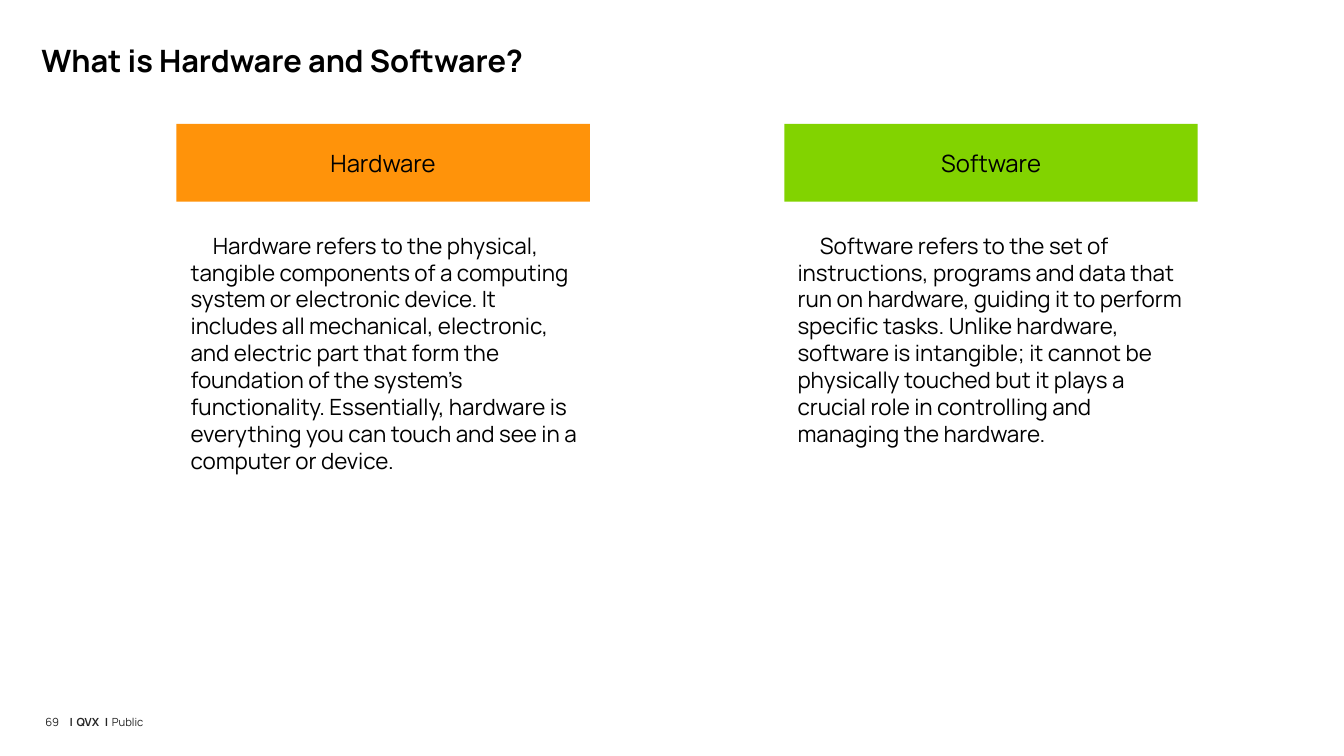
"""Build the slide that defines hardware and software."""
from lxml import etree
from pptx import Presentation
from pptx import util as u
from pptx.dml.color import RGBColor
from pptx.enum import shapes, text
from pptx.oxml.ns import qn

PX = 9144
FONT = "Manrope"
INK = {"main": "000000", "foot": "262626", "hard": "FF930A", "soft": "82D300"}
HARD = (
    "Hardware refers to the physical, tangible components of a computing system "
    "or electronic device. It includes all mechanical, electronic, and electric "
    "part that form the foundation of the system's functionality. Essentially, "
    "hardware is everything you can touch and see in a computer or device."
)
SOFT = (
    "Software refers to the set of instructions, programs and data that run on "
    "hardware, guiding it to perform specific tasks. Unlike hardware, software is "
    "intangible; it cannot be physically touched but it plays a crucial role in "
    "controlling and managing the hardware."
)


def px(*sizes):
    """Turn px lengths into EMU."""
    return [u.Emu(size * PX) for size in sizes]


def apply(item, **form):
    """Set each format value on an item."""
    for name, value in form.items():
        setattr(item, name, value)


def write(shape, runs, size, ink="main", pad=0, frame=None, para=None):
    """Fill a shape with one paragraph of (words, bold) runs."""
    body = shape.text_frame
    sides = ("left", "top", "right", "bottom")
    apply(body, word_wrap=True, **{f"margin_{side}": u.Emu(pad * PX) for side in sides})
    apply(body, **(frame or {}))
    line = body.paragraphs[0]
    apply(line, **(para or {}))
    for words, bold in runs:
        run = line.add_run()
        run.text = words
        apply(run.font, name=FONT, size=u.Pt(size), bold=bold)
        run.font.color.rgb = RGBColor.from_string(INK[ink])
    return line


def label(slide, box, runs, size, **form):
    """Add a text box and return its paragraph."""
    return write(slide.shapes.add_textbox(*px(*box)), runs, size, **form)


def banner(slide, box, words, ink):
    """Add a filled heading bar."""
    bar = slide.shapes.add_shape(shapes.MSO_SHAPE.RECTANGLE, *px(*box))
    bar.shadow.inherit = False
    bar.fill.solid()
    bar.fill.fore_color.rgb = RGBColor.from_string(INK[ink])
    bar.line.fill.background()
    write(bar, [(words, False)], 17, pad=10,
          frame={"vertical_anchor": text.MSO_ANCHOR.MIDDLE},
          para={"alignment": text.PP_ALIGN.CENTER})


def indent(line, size):
    """Indent the first line of a paragraph."""
    line._p.get_or_add_pPr().set("indent", str(u.Pt(size)))


def stops(line, *places):
    """Add left tab stops at px places."""
    tabs = etree.SubElement(line._p.get_or_add_pPr(), qn("a:tabLst"))
    for place in px(*places):
        etree.SubElement(tabs, qn("a:tab"), pos=str(place), algn="l")


def footer(slide):
    """Add the page number and the notice."""
    form = {"ink": "foot", "para": {"line_spacing": u.Pt(16.8)}}
    note = [("|\tQVX\t|\t", True), ("Public", False)]
    stops(label(slide, (69, 700, 444, 19), note, 8, **form), 7, 35, 42)
    label(slide, (45, 700, 18, 19), [("69", False)], 8, **form)


def main():
    """Build and save the slide."""
    deck = Presentation()
    wide, high = px(1333, 750)
    apply(deck, slide_width=wide, slide_height=high)
    slide = deck.slides.add_slide(deck.slide_layouts[6])
    footer(slide)
    label(slide, (41, 41, 1250, 44), [("What is Hardware and Software?", True)], 22)
    for left, start, head, words, ink in (
        (175, 189, "Hardware", HARD, "hard"),
        (778, 791, "Software", SOFT, "soft"),
    ):
        banner(slide, (left, 123, 410, 77), head, ink)
        indent(label(slide, (start, 230, 385, 419), [(words, False)], 16), 16)
    deck.save("out.pptx")


if __name__ == "__main__":
    main()
